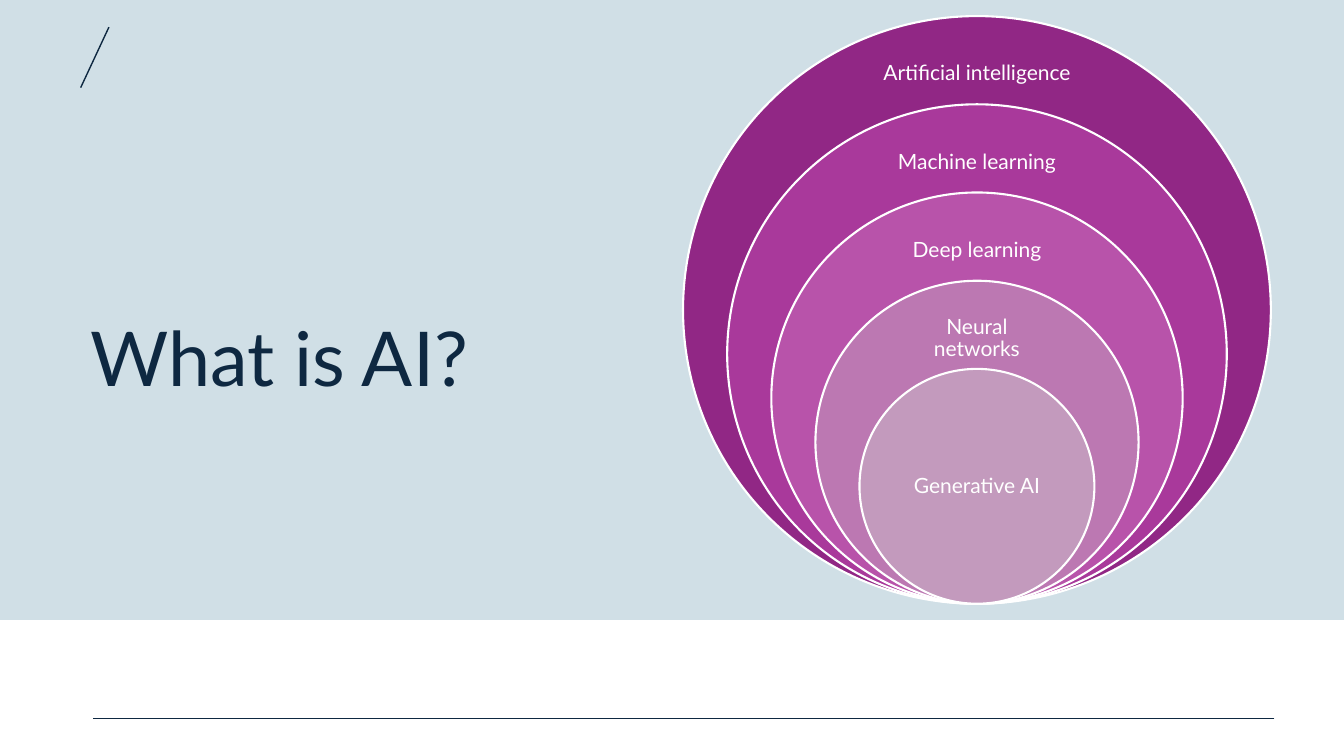
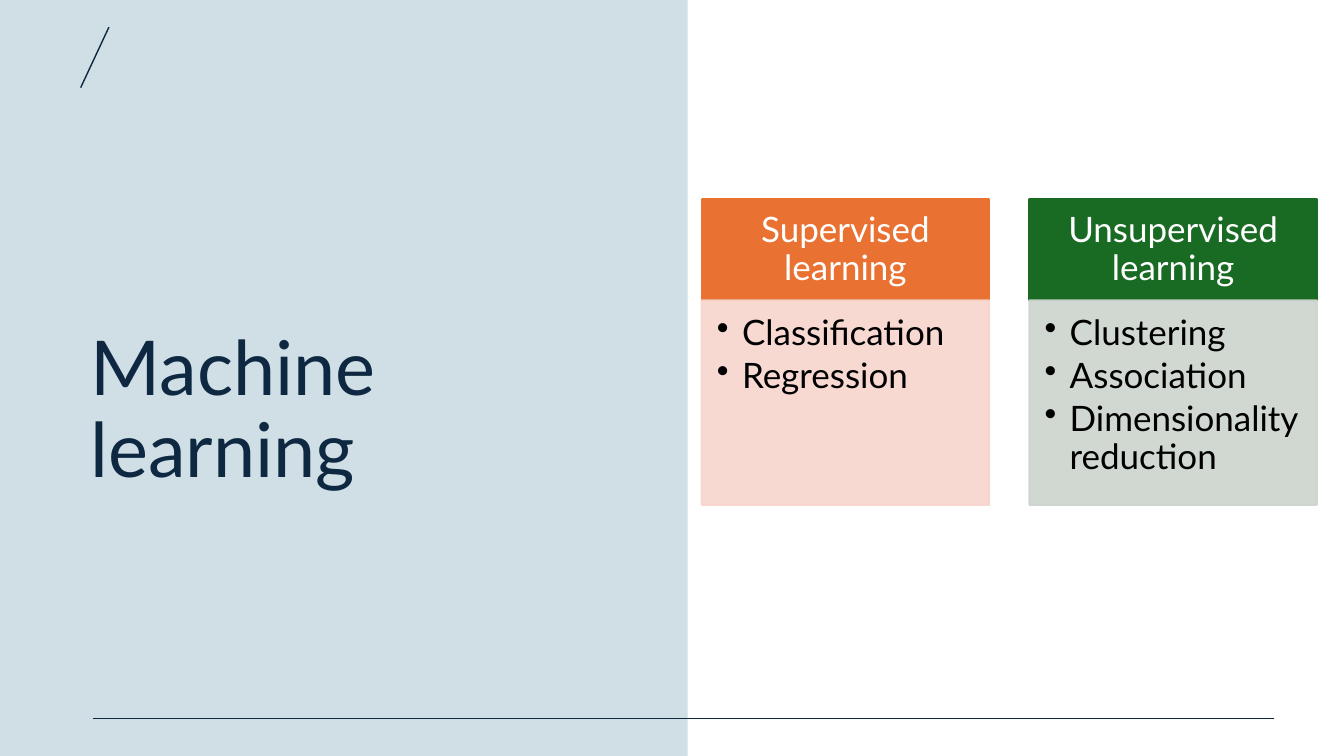
from dataclasses import dataclass

from lxml.etree import SubElement
from pptx import Presentation
from pptx.dml.color import RGBColor
from pptx.enum.shapes import MSO_CONNECTOR, MSO_SHAPE as Preset
from pptx.enum.text import MSO_ANCHOR as Anchor, PP_ALIGN as Align
from pptx.oxml.ns import qn
from pptx.shapes.autoshape import Shape
from pptx.slide import Slide
from pptx.util import Inches, Pt


@dataclass(frozen=True)
class Theme:
    font: str = "Lato"
    ink: str = "0E2841"
    panel: str = "156082"
    white: str = "FFFFFF"
    black: str = "000000"
    title_size: int = 54
    ring_size: int = 15
    card_size: int = 25
    panel_opacity: int = 20
    body_opacity: int = 90
    rule_width: float = 1
    outline_width: float = 1.5


@dataclass(frozen=True)
class Box:
    left: float
    top: float
    width: float
    height: float

    def emu(self) -> tuple[int, ...]:
        return tuple(Inches(v) for v in (self.left, self.top, self.width, self.height))


@dataclass(frozen=True)
class Ring:
    label: str
    color: str
    label_width: float


@dataclass(frozen=True)
class Card:
    heading: str
    items: tuple[str, ...]
    color: str
    tint: str


THEME = Theme()
SLIDE_WIDTH, SLIDE_HEIGHT = 13.33, 7.5

RINGS = (
    Ring("Artificial intelligence", "912785", 2.19),
    Ring("Machine learning", "A9399B", 2.14),
    Ring("Deep learning", "B853AA", 2.11),
    Ring("Neural networks", "BC78B2", 1.73),
    Ring("Generative AI", "C39ABD", 1.65),
)
CARDS = (
    Card("Supervised learning", ("Classification", "Regression"), "E97132", "F7D5CE"),
    Card("Unsupervised learning",
         ("Clustering", "Association", "Dimensionality reduction"), "196B24", "CCD4CD"),
)


# Drawing helpers
def rgb(color: str) -> RGBColor:
    return RGBColor.from_string(color)


def add_block(slide: Slide, preset: Preset, box: Box, fill: str, *,
              outline: str = "", opacity: int = 100) -> Shape:
    block = slide.shapes.add_shape(preset, *box.emu())
    block.shadow.inherit = False
    block.fill.solid()
    block.fill.fore_color.rgb = rgb(fill)
    if outline:
        block.line.color.rgb = rgb(outline)
        block.line.width = Pt(THEME.outline_width)
    else:
        block.line.fill.background()
    if opacity < 100:
        for color in list(block.element.spPr.iter(qn("a:srgbClr"))):
            SubElement(color, qn("a:alpha"), val=str(opacity * 1000))
    return block


def add_rule(slide: Slide, start: tuple[float, float], end: tuple[float, float]) -> None:
    rule = slide.shapes.add_connector(
        MSO_CONNECTOR.STRAIGHT, *(Inches(v) for v in (*start, *end)))
    rule.line.color.rgb = rgb(THEME.ink)
    rule.line.width = Pt(THEME.rule_width)
    SubElement(rule.element.spPr, qn("a:effectLst"))


def write(shape: Shape, *lines: str, size: float, color: str,
          align: Align = Align.LEFT, anchor: Anchor = Anchor.MIDDLE,
          insets: tuple[float, ...] = (0.1, 0.05, 0.1, 0.05),
          bullet_indent: float = 0, space_after: float = 0) -> None:
    frame = shape.text_frame
    frame.word_wrap = True
    frame.vertical_anchor = anchor
    (frame.margin_left, frame.margin_top,
     frame.margin_right, frame.margin_bottom) = (Inches(v) for v in insets)
    for index, line in enumerate(lines):
        paragraph = frame.add_paragraph() if index else frame.paragraphs[0]
        paragraph.alignment = align
        paragraph.line_spacing = 0.9
        paragraph.space_after = Pt(space_after)
        run = paragraph.add_run()
        run.text = line
        run.font.name = THEME.font
        run.font.size = Pt(size)
        run.font.color.rgb = rgb(color)
        if bullet_indent:
            properties = paragraph._p.get_or_add_pPr()
            properties.set("marL", str(Inches(bullet_indent)))
            properties.set("indent", str(-Inches(bullet_indent)))
            SubElement(properties, qn("a:buChar"), char="•")


# Shared by both slides: tinted panel, title, slash and bottom rule
def add_base(deck: Presentation, title: str, panel: Box, title_box: Box) -> Slide:
    slide = deck.slides.add_slide(deck.slide_layouts[6])
    add_block(slide, Preset.RECTANGLE, panel, THEME.panel, opacity=THEME.panel_opacity)
    write(slide.shapes.add_textbox(*title_box.emu()), title,
          size=THEME.title_size, color=THEME.ink)
    add_rule(slide, (1.08, 0.27), (0.8, 0.87))
    add_rule(slide, (12.64, 7.13), (0.92, 7.13))
    return slide


# Nested circles that touch at the bottom
def add_rings(slide: Slide, rings: tuple[Ring, ...]) -> None:
    center, bottom, outer, inner = 9.69, 5.99, 5.83, 2.33
    step = (outer - inner) / (len(rings) - 1)
    for index, ring in enumerate(rings):
        diameter = outer - index * step
        top = bottom - diameter
        circle = Box(center - diameter / 2, top, diameter, diameter)
        add_block(slide, Preset.OVAL, circle, ring.color, outline=THEME.white)
        innermost = index == len(rings) - 1
        label_top, label_height = (
            (top + diameter / 4, diameter / 2) if innermost else (top + 0.29, 0.57))
        label = Box(center - ring.label_width / 2, label_top,
                    ring.label_width, label_height)
        write(slide.shapes.add_textbox(*label.emu()), ring.label,
              size=THEME.ring_size, color=THEME.white, align=Align.CENTER,
              insets=(0.12,) * 4)


# Cards with a coloured heading above a bulleted list
def add_cards(slide: Slide, cards: tuple[Card, ...]) -> None:
    left, top, width, gap = 6.96, 1.98, 2.85, 0.4
    heading_height, body_height = 1, 2.03
    for index, card in enumerate(cards):
        x = left + index * (width + gap)
        heading = add_block(slide, Preset.RECTANGLE, Box(x, top, width, heading_height),
                            card.color, outline=card.color)
        write(heading, card.heading, size=THEME.card_size, color=THEME.white,
              align=Align.CENTER, insets=(0.19, 0.11, 0.19, 0.11))
        body = add_block(slide, Preset.RECTANGLE,
                         Box(x, top + heading_height, width, body_height),
                         card.tint, outline=card.tint, opacity=THEME.body_opacity)
        write(body, *card.items, size=THEME.card_size, color=THEME.black,
              anchor=Anchor.TOP, insets=(0.15, 0.15, 0.19, 0.22),
              bullet_indent=0.25, space_after=0.15 * THEME.card_size)


def main() -> None:
    deck = Presentation()
    deck.slide_width, deck.slide_height = Inches(SLIDE_WIDTH), Inches(SLIDE_HEIGHT)

    overview = add_base(deck, "What is AI?", Box(0, 0, SLIDE_WIDTH, 6.15),
                        Box(0.8, 1.28, 5.55, 4.62))
    add_rings(overview, RINGS)

    learning = add_base(deck, "Machine learning", Box(0, 0, 6.82, SLIDE_HEIGHT),
                        Box(0.8, 1.28, 5.33, 5.62))
    add_cards(learning, CARDS)

    deck.save("out.pptx")


if __name__ == "__main__":
    main()
